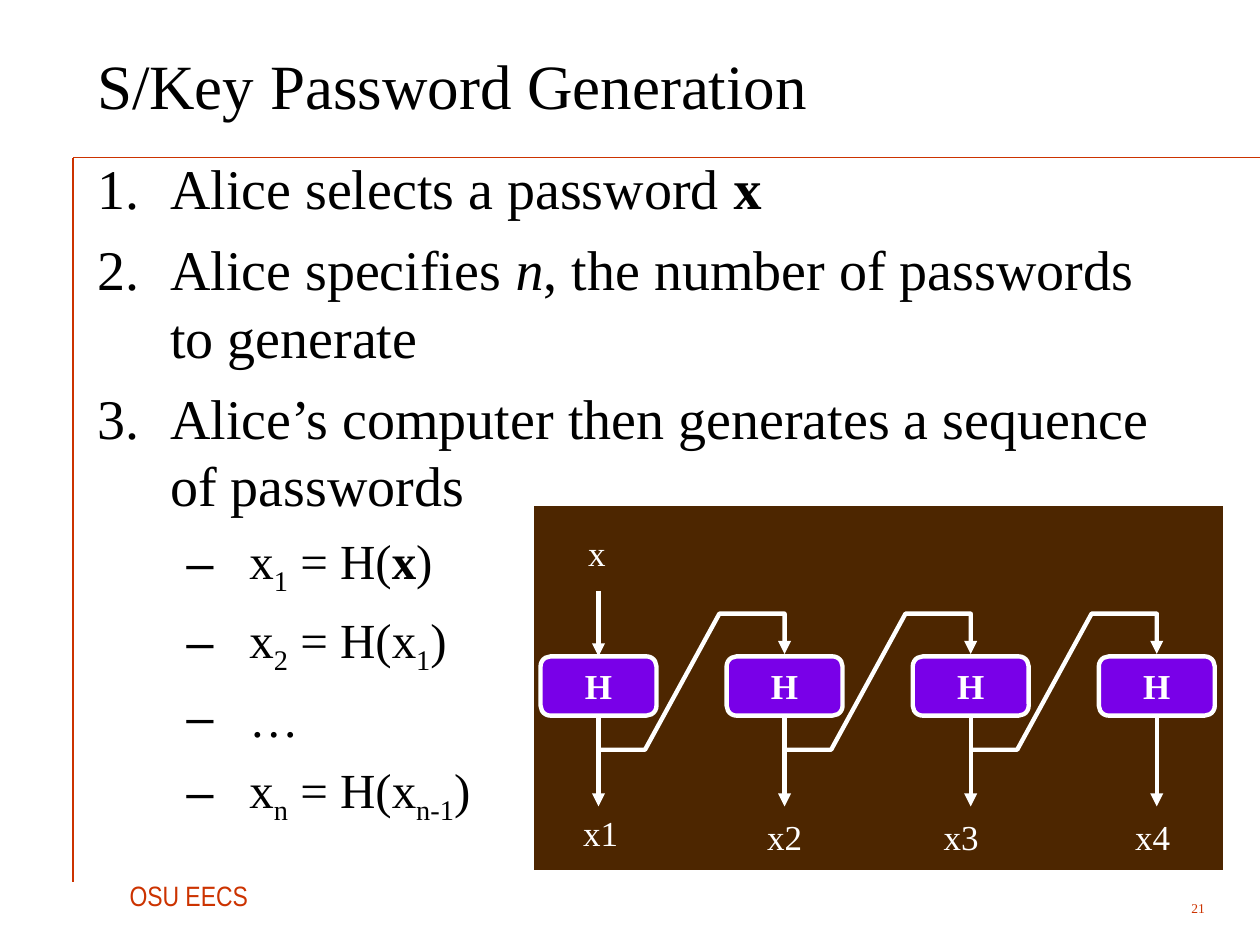
from lxml import etree
from pptx import Presentation
from pptx.dml.color import RGBColor
from pptx.enum import shapes as sh, text as tx
from pptx.oxml.ns import qn
from pptx.util import Inches, Pt

BLACK = RGBColor(0, 0, 0)
WHITE = RGBColor(255, 255, 255)
RED = RGBColor(0xCC, 0x33, 0x00)
BROWN = RGBColor(0x4D, 0x26, 0x00)
PURPLE = RGBColor(0x79, 0x00, 0xE8)
SERIF = "Times New Roman"

# Body text: runs are (text, style); "sub" is a subscript
STEPS = [
    [("Alice selects a password ", ""), ("x", "bold")],
    [("Alice specifies ", ""), ("n", "italic"),
     (", the number of passwords to generate", "")],
    [("Alice’s computer then generates a sequence of passwords", "")],
]
RULES = [
    [("x", ""), ("1", "sub"), (" = H(", ""), ("x", "bold"), (")", "")],
    [("x", ""), ("2", "sub"), (" = H(x", ""), ("1", "sub"), (")", "")],
    [("…", "")],
    [("x", ""), ("n", "sub"), (" = H(x", ""), ("n-1", "sub"), (")", "")],
]

# Hash chain: four boxes at an equal step
BOX_X, BOX_Y, BOX_W, BOX_H, STEP = 4.29, 5.21, 0.92, 0.47, 1.477
OUTS = [("x1", 4.53, 6.39), ("x2", 5.99, 6.42),
        ("x3", 7.39, 6.42), ("x4", 8.91, 6.42)]


def style(font, size, color, **more):
    font.color.rgb = color
    for key, val in {"size": Pt(size), "name": SERIF, **more}.items():
        setattr(font, key, val)


def place(shape, *box):
    for key, val in zip(("left", "top", "width", "height"), box):
        setattr(shape, key, Inches(val))


def stroke(shape, color, width, arrow=False):
    shape.line.color.rgb = color
    shape.line.width = Pt(width)
    if arrow:
        etree.SubElement(shape.line._get_or_add_ln(), qn("a:tailEnd"), type="triangle")


def add_line(slide, x1, y1, x2, y2, color, width, arrow=False):
    line = slide.shapes.add_connector(
        sh.MSO_CONNECTOR.STRAIGHT, *map(Inches, (x1, y1, x2, y2)))
    stroke(line, color, width, arrow)
    etree.SubElement(line._element.spPr, qn("a:effectLst"))
    return line


def add_label(slide, words, box, size=20, color=WHITE, wrap=False, **more):
    label = slide.shapes.add_textbox(*map(Inches, box))
    frame = label.text_frame
    frame.word_wrap = wrap
    frame.text = words
    style(frame.paragraphs[0].font, size, color, **more)
    return frame


def add_block(slide, kind, box, fill, width):
    block = slide.shapes.add_shape(kind, *map(Inches, box))
    block.shadow.inherit = False
    block.fill.solid()
    block.fill.fore_color.rgb = fill
    stroke(block, WHITE, width)
    return block


def add_hash(slide, x):
    block = add_block(slide, sh.MSO_SHAPE.ROUNDED_RECTANGLE,
                      (x, BOX_Y, BOX_W, BOX_H), PURPLE, 2.5)
    frame = block.text_frame
    frame.word_wrap = False
    frame.text = "H"
    frame.paragraphs[0].alignment = tx.PP_ALIGN.CENTER
    style(frame.paragraphs[0].font, 20, WHITE, bold=True)
    return block


def add_loop(slide, x):
    """Carry one output up to the next hash box."""
    path = slide.shapes.build_freeform(Inches(x), Inches(5.95))
    path.add_line_segments(
        [(Inches(x + dx), Inches(y)) for dx, y in
         ((0.37, 5.95), (0.96, 4.87), (STEP, 4.87), (STEP, 5.19))], close=False)
    loop = path.convert_to_shape()
    loop.shadow.inherit = False
    loop.fill.background()
    stroke(loop, WHITE, 2.5, True)


def add_item(para, runs, size, level, left, hang, mark, before):
    para.level = level
    para.space_before = Pt(before)
    props = para._p.get_or_add_pPr()
    props.set("marL", str(Inches(left)))
    props.set("indent", str(-Inches(hang)))
    tint = etree.SubElement(props, qn("a:buClr"))
    etree.SubElement(tint, qn("a:srgbClr"), val=str(BLACK))
    tag, key, val = mark
    etree.SubElement(props, qn(tag)).set(key, val)
    style(para.font, size, BLACK)
    for words, look in runs:
        run = para.add_run()
        run.text = words
        style(run.font, size, BLACK)
        if look == "sub":
            run.font._element.set("baseline", "-25000")
        elif look:
            setattr(run.font, look, True)


def fill_title(title):
    place(title, 0.67, 0.17, 9.01, 1)
    title.text_frame.text = "S/Key Password Generation"
    title.text_frame.vertical_anchor = tx.MSO_ANCHOR.MIDDLE
    para = title.text_frame.paragraphs[0]
    para.alignment = tx.PP_ALIGN.LEFT
    style(para.font, 36, BLACK)


def fill_body(body):
    place(body, 0.67, 1.17, 8.78, 5.9)
    frame = body.text_frame
    frame.auto_size = tx.MSO_AUTO_SIZE.NONE
    number = ("a:buAutoNum", "type", "arabicPeriod")
    dash = ("a:buChar", "char", "–")
    for i, runs in enumerate(STEPS):
        para = frame.add_paragraph() if i else frame.paragraphs[0]
        add_item(para, runs, 32, 0, 0.58, 0.58, number, 8 if i else 0)
    for runs in RULES:
        add_item(frame.add_paragraph(), runs, 28, 1, 1.21, 0.5, dash, 7)


def add_chain(slide):
    add_block(slide, sh.MSO_SHAPE.RECTANGLE, (4.22, 4, 5.5, 2.92), BROWN, 2.25)
    add_label(slide, "x", (4.57, 4.17, 0.34, 0.43))
    for i, (name, left, top) in enumerate(OUTS):
        x = BOX_X + i * STEP
        mid = x + BOX_W / 2
        block = add_hash(slide, x)
        if i == 0:
            feed = add_line(slide, mid, 4.69, mid, BOX_Y, WHITE, 2.5, True)
            feed.end_connect(block, 0)
        drop = add_line(slide, mid, BOX_Y + BOX_H, mid, 6.4, WHITE, 2.5, True)
        drop.begin_connect(block, 2)
        if i < len(OUTS) - 1:
            add_loop(slide, mid)
        add_label(slide, name, (left, top, 0.48, 0.43))


def main():
    deck = Presentation()
    deck.slide_width, deck.slide_height = Inches(10), Inches(7.5)
    slide = deck.slides.add_slide(deck.slide_layouts[1])

    # Frame lines and footer
    add_line(slide, 0.58, 1.25, 10, 1.25, RED, 0.25)
    add_line(slide, 0.58, 1.25, 0.58, 7, RED, 0.75)
    add_label(slide, "OSU EECS", (0.93, 6.92, 1.19, 0.37), 16, RED, name="Arial Narrow")
    page = add_label(slide, "21", (8.83, 7.08, 0.83, 0.25), 7.7, RED, True)
    page.vertical_anchor = tx.MSO_ANCHOR.MIDDLE
    page.paragraphs[0].alignment = tx.PP_ALIGN.RIGHT

    # Title, list and diagram
    fill_title(slide.shapes.title)
    fill_body(slide.placeholders[1])
    add_chain(slide)
    deck.save("out.pptx")


if __name__ == "__main__":
    main()
